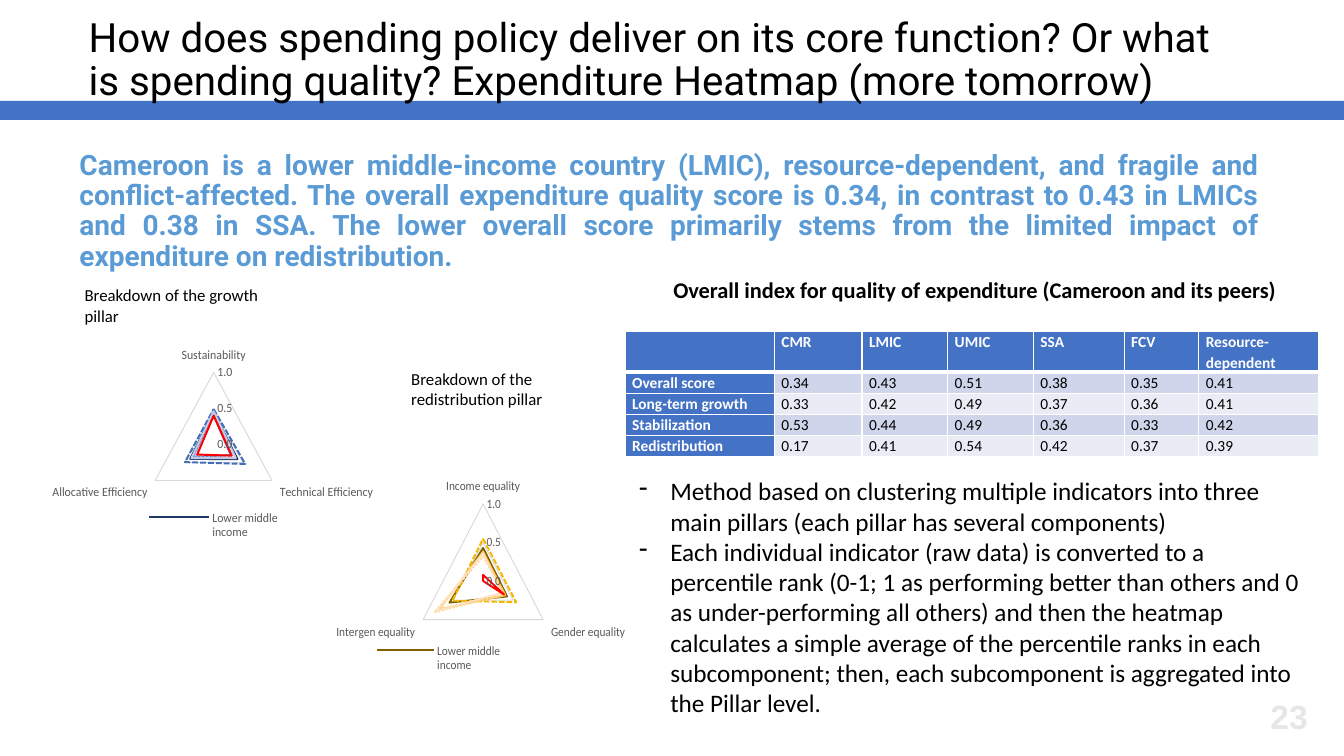
from dataclasses import dataclass

from lxml import etree
from pptx import Presentation
from pptx.chart.data import CategoryChartData
from pptx.dml.color import RGBColor
from pptx.enum.chart import XL_CHART_TYPE, XL_LEGEND_POSITION, XL_TICK_MARK
from pptx.enum.dml import MSO_LINE
from pptx.enum.shapes import MSO_SHAPE
from pptx.enum.text import MSO_ANCHOR, PP_ALIGN
from pptx.oxml import parse_xml
from pptx.oxml.ns import nsdecls, qn
from pptx.util import Inches, Pt

RADAR, BOTTOM, NO_TICK = XL_CHART_TYPE.RADAR, XL_LEGEND_POSITION.BOTTOM, XL_TICK_MARK.NONE
RECT, DASH, DOT = MSO_SHAPE.RECTANGLE, MSO_LINE.SQUARE_DOT, MSO_LINE.ROUND_DOT
LEFT, RIGHT, JUSTIFY = PP_ALIGN.LEFT, PP_ALIGN.RIGHT, PP_ALIGN.JUSTIFY
TOP, MIDDLE = MSO_ANCHOR.TOP, MSO_ANCHOR.MIDDLE


@dataclass(frozen=True)
class Theme:
    head: str = "Roboto"
    body: str = "Calibri"
    mark: str = "Arial"
    black: str = "000000"
    white: str = "FFFFFF"
    blue: str = "4472C4"
    lead: str = "5B9BD5"
    bands: tuple = ("CFD5EA", "E9EBF5")
    grey: str = "595959"
    grid: str = "D9D9D9"
    pale: str = "E7E6E6"
    growth: tuple = ("203864", "416DBB", "6D89CB", "9EADD8", "C1C9E4", "FF0000")
    equal: tuple = ("806000", "F4B700", "FFC75E", "FFD597", "FFE2BD", "FF0000")
    title: float = 28.8
    intro: float = 20
    number: float = 24
    point: float = 18
    caption: float = 16
    label: float = 12
    cell: float = 11
    chart: float = 10
    axis: float = 9


T = Theme()
PEERS = ("Lower middle income", "Upper middle income", "Sub-Saharan Africa",
         "FCV", "Resource-dependent", "CMR")
DASHES = (None, DASH, None, DOT, None, None)
GROWTH = (("Sustainability", "Technical Efficiency", "Allocative Efficiency"),
          ((0.45, 0.41, 0.4), (0.49, 0.54, 0.49), (0.41, 0.29, 0.36),
           (0.42, 0.31, 0.32), (0.46, 0.38, 0.38), (0.4, 0.31, 0.28)))
EQUAL = (("Income equality", "Gender equality", "Intergen equality"),
         ((0.43, 0.4, 0.56), (0.55, 0.55, 0.51), (0.38, 0.37, 0.73),
          (0.32, 0.35, 0.81), (0.36, 0.31, 0.77), (0.08, 0.35, 0)))
SCORES = (
    ("", "CMR", "LMIC", "UMIC", "SSA", "FCV", "Resource-dependent"),
    ("Overall score", "0.34", "0.43", "0.51", "0.38", "0.35", "0.41"),
    ("Long-term growth", "0.33", "0.42", "0.49", "0.37", "0.36", "0.41"),
    ("Stabilization", "0.53", "0.44", "0.49", "0.36", "0.33", "0.42"),
    ("Redistribution", "0.17", "0.41", "0.54", "0.42", "0.37", "0.39"),
)
WIDTHS = (1.48, 0.87, 0.85, 0.85, 0.9, 0.74, 1.19)
TITLE = ("How does spending policy deliver on its core function? Or what is "
         "spending quality? Expenditure Heatmap (more tomorrow)")
INTRO = ("Cameroon is a lower middle-income country (LMIC), resource-dependent, and "
         "fragile and conflict-affected. The overall expenditure quality score is 0.34, "
         "in contrast to 0.43 in LMICs and 0.38 in SSA. The lower overall score primarily "
         "stems from the limited impact of expenditure on redistribution.")
POINTS = (
    "Method based on clustering multiple indicators into three main pillars "
    "(each pillar has several components)",
    "Each individual indicator (raw data) is converted to a percentile rank (0-1; 1 as "
    "performing better than others and 0 as under-performing all others) and then the "
    "heatmap calculates a simple average of the percentile ranks in each subcomponent; "
    "then, each subcomponent is aggregated into the Pillar level.",
)


def rgb(color):
    return RGBColor.from_string(color)


def style(font, size, color, face=T.body, bold=False):
    font.size, font.name, font.bold = Pt(size), face, bold
    font.color.rgb = rgb(color)


def write(frame, *texts, size, color=T.black, face=T.body, bold=False,
          align=LEFT, lines=1.0, margin=0, hang=0, bullet=None, anchor=TOP):
    """Fill a text frame, one paragraph for each text."""
    frame.word_wrap, frame.vertical_anchor = True, anchor
    for i, text in enumerate(texts):
        para = frame.add_paragraph() if i else frame.paragraphs[0]
        props = para._p.get_or_add_pPr()
        props.set("marL", str(Inches(margin)))
        props.set("indent", str(Inches(hang)))
        para.alignment, para.line_spacing = align, lines
        if bullet:
            etree.SubElement(props, qn("a:buChar"), char=bullet)
        run = para.add_run()
        run.text = text
        style(run.font, size, color, face, bold)


def add_text(slide, box, *texts, **form):
    shape = slide.shapes.add_textbox(*map(Inches, box))
    write(shape.text_frame, *texts, **form)


def add_head(slide, box):
    left, top, width, height = box
    bar = slide.shapes.add_shape(RECT, *map(Inches, (left, top + 1, width, 0.19)))
    bar.shadow.inherit = False
    bar.fill.solid()
    bar.fill.fore_color.rgb = rgb(T.blue)
    bar.line.fill.background()
    add_text(slide, (left + 0.69, top + 1.45, 11.9, height - 1.45), INTRO, size=T.intro,
             color=T.lead, face=T.head, bold=True, align=JUSTIFY, lines=0.9)
    add_text(slide, (left + 0.78, top + 0.19, 11.5, 0.83), TITLE, size=T.title,
             face=T.head, lines=0.9, anchor=MIDDLE)


def edge(cell, low):
    """Draw white borders; low is the width of the bottom one in points."""
    props = cell._tc.get_or_add_tcPr()
    for i, (side, width) in enumerate(zip("LRTB", (1, 1, 1, low))):
        props.insert(i, parse_xml(
            f'<a:ln{side} {nsdecls("a")} w="{Pt(width)}"><a:solidFill>'
            f'<a:srgbClr val="{T.white}"/></a:solidFill></a:ln{side}>'))


def add_scores(slide, box):
    left, top, width, height = box
    add_text(slide, (left + 0.13, top, 6.66, 0.38),
             "Overall index for quality of expenditure (Cameroon and its peers)",
             size=T.caption, bold=True, lines=1.07, margin=0.25)
    grid = slide.shapes.add_table(len(SCORES), len(WIDTHS), *map(
        Inches, (left, top + 0.62, width, height - 0.62))).table
    for col, wide in zip(grid.columns, WIDTHS):
        col.width = Inches(wide)
    for r, values in enumerate(SCORES):
        grid.rows[r].height = Inches(0.21 if r else 0.4)
        for c, value in enumerate(values):
            cell, head = grid.cell(r, c), r == 0 or c == 0
            cell.margin_left = cell.margin_right = Inches(0.07)
            cell.margin_top = cell.margin_bottom = 0
            cell.fill.solid()
            cell.fill.fore_color.rgb = rgb(T.blue if head else T.bands[(r - 1) % 2])
            edge(cell, 1 if r else 3)
            write(cell.text_frame, value, size=T.cell, bold=head, lines=1.07,
                  color=T.white if head else T.black)


def lay_out(parent, index, area, inner=False):
    """Give a chart part its place, in fractions of the chart."""
    for old in parent.findall(qn("c:layout")):
        parent.remove(old)
    layout = etree.Element(qn("c:layout"))
    manual = etree.SubElement(layout, qn("c:manualLayout"))
    tags = [("layoutTarget", "inner")] if inner else []
    tags += [("xMode", "edge"), ("yMode", "edge"), *zip("xywh", area)]
    for tag, value in tags:
        etree.SubElement(manual, qn(f"c:{tag}"), val=str(value))
    parent.insert(index, layout)


def add_radar(slide, box, data, colors, plot, key, over):
    names, rows = data
    source = CategoryChartData(number_format="0.00")
    source.categories = names
    for peer, row in zip(PEERS, rows):
        source.add_series(peer, row)
    chart = slide.shapes.add_chart(RADAR, *map(Inches, box), source).chart
    style(chart.font, T.chart, T.black)
    chart.has_title = False
    chart.plots[0].vary_by_categories = False
    for line, color, dash in zip(chart.plots[0].series, colors, DASHES):
        line.smooth = False
        line.format.line.color.rgb = rgb(color)
        line.format.line.width = Pt(1.5)
        if dash:
            line.format.line.dash_style = dash
    spoke, scale = chart.category_axis, chart.value_axis
    for axis in (spoke, scale):
        axis.major_tick_mark = axis.minor_tick_mark = NO_TICK
        style(axis.tick_labels.font, T.axis, T.grey)
    spoke.has_major_gridlines = False
    scale.minimum_scale, scale.maximum_scale, scale.major_unit = 0, 1, 0.5
    scale.tick_labels.number_format = "0.0"
    scale.tick_labels.number_format_is_linked = False
    scale.format.line.fill.background()
    for line in (spoke.format.line, scale.major_gridlines.format.line):
        line.color.rgb, line.width = rgb(T.grid), Pt(0.75)
    chart.has_legend = True
    chart.legend.position, chart.legend.include_in_layout = BOTTOM, over
    style(chart.legend.font, T.axis, T.grey)
    legend = chart.element.xpath(".//c:legend")[0]
    lay_out(legend, 1, key)
    for i in range(2, len(PEERS)):
        entry = etree.Element(qn("c:legendEntry"))
        etree.SubElement(entry, qn("c:idx"), val=str(i))
        etree.SubElement(entry, qn("c:delete"), val="1")
        legend.insert(i - 1, entry)
    lay_out(chart.element.xpath(".//c:plotArea")[0], 0, plot, inner=True)


def add_pillars(slide, box):
    left, top = box[:2]
    add_radar(slide, (left, top + 0.55, 3.18, 2.14), GROWTH, T.growth,
              (0.28, 0.17, 0.45, 0.67), (0.23, 0.79, 0.55, 0.18), True)
    add_radar(slide, (left + 2.5, top + 1.77, 3.18, 2.25), EQUAL, T.equal,
              (0.3, 0.2, 0.64, 0.68), (0.19, 0.79, 0.55, 0.18), False)
    add_text(slide, (left + 3.46, top + 0.83, 2.08, 0.5),
             "Breakdown of the redistribution pillar", size=T.label)
    add_text(slide, (left + 0.22, top, 2.08, 0.5),
             "Breakdown of the growth pillar", size=T.label)


def main():
    deck = Presentation()
    deck.slide_width, deck.slide_height = Inches(13.33), Inches(7.5)
    slide = deck.slides.add_slide(deck.slide_layouts[6])
    add_head(slide, (0, 0, 13.33, 6.64))
    add_scores(slide, (6.2, 2.67, 6.88, 1.86))
    add_pillars(slide, (0.52, 2.78, 5.68, 4.02))
    add_text(slide, (6.24, 4.67, 6.8, 2.83), *POINTS, size=T.point,
             margin=0.31, hang=-0.31, bullet="-")
    add_text(slide, (12.07, 6.85, 1, 0.5), "23", size=T.number, color=T.pale,
             face=T.mark, bold=True, align=RIGHT, anchor=MIDDLE)
    deck.save("out.pptx")


if __name__ == "__main__":
    main()
